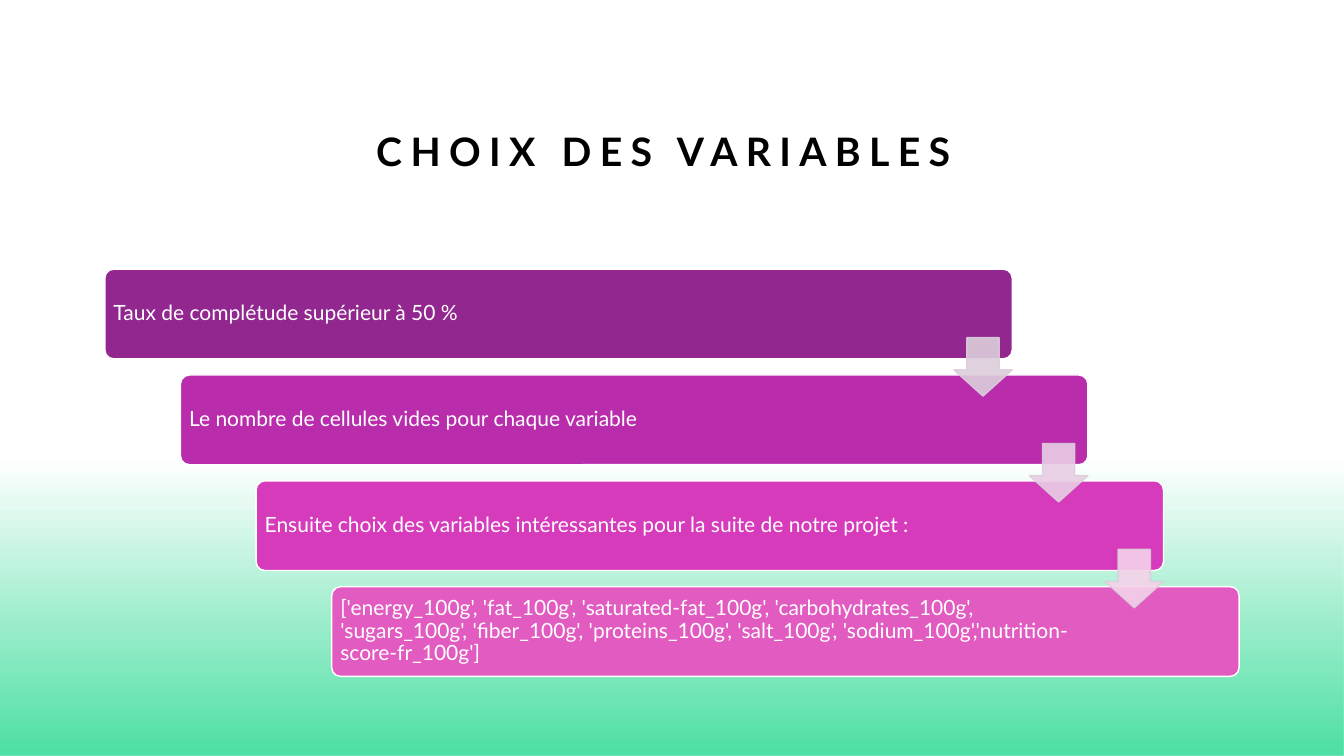
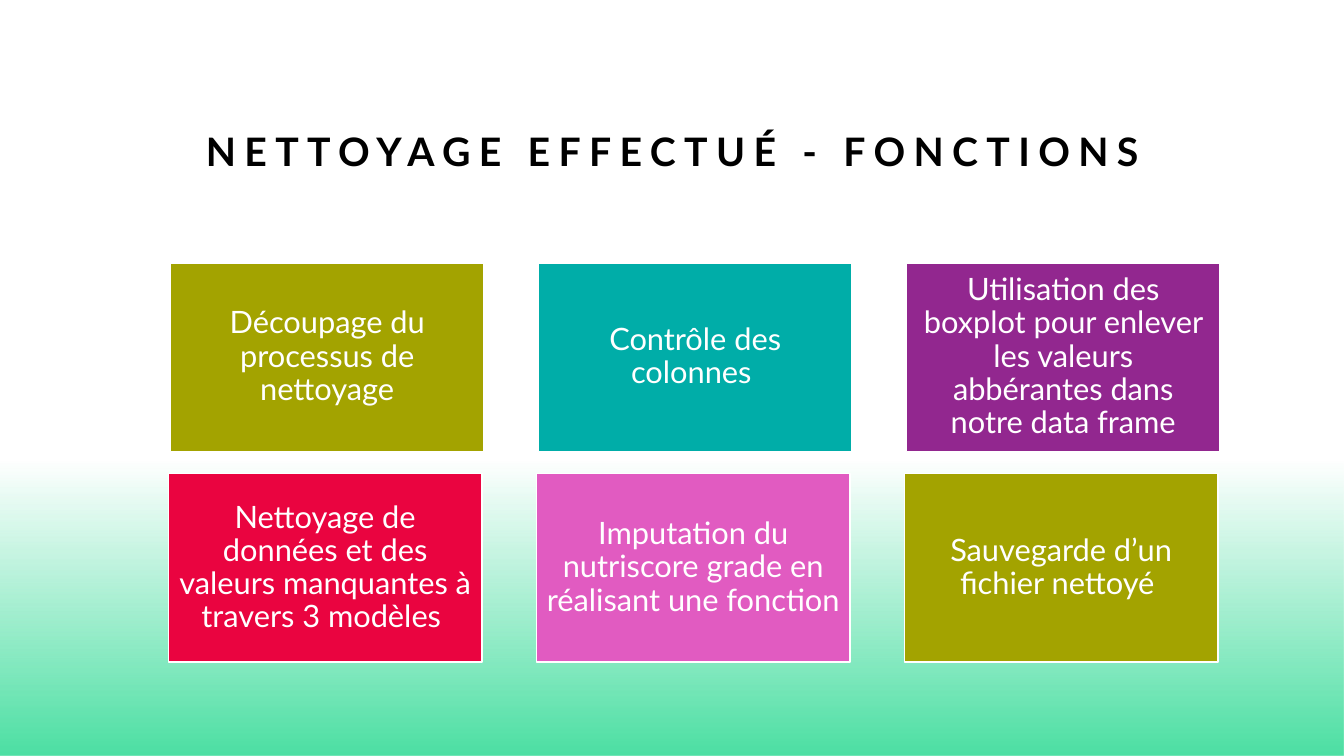
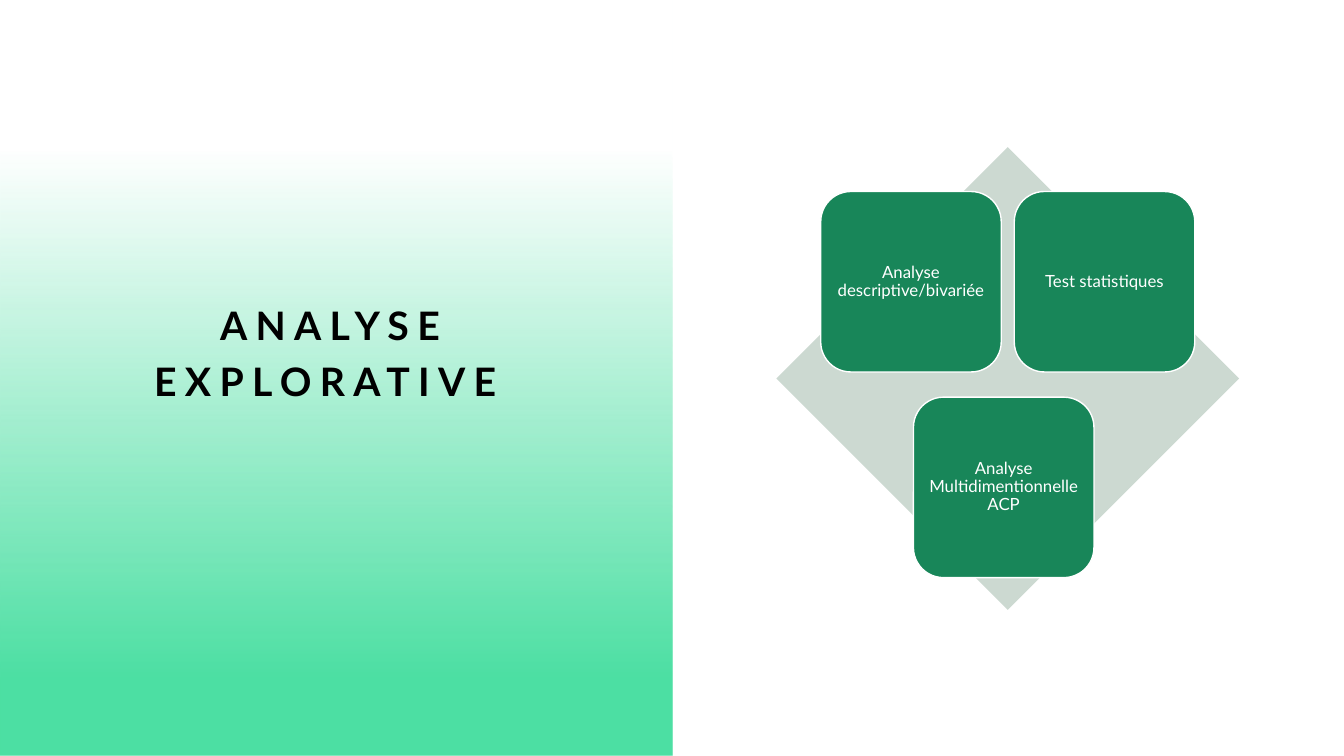
from dataclasses import dataclass

from pptx import Presentation
from pptx.dml.color import RGBColor
from pptx.enum.shapes import MSO_SHAPE as Preset
from pptx.enum.text import MSO_ANCHOR as Anchor, MSO_AUTO_SIZE as AutoSize, PP_ALIGN as Align
from pptx.oxml.ns import qn
from pptx.oxml.xmlchemy import OxmlElement
from pptx.util import Inches, Pt

FONT = "Lato"
WHITE = "FFFFFF"
BLACK = "000000"
MINT = "4CDFA3"
GREEN = "188659"
SAGE = "CCD9D1"
PURPLE = "92278F"
PINK = "E15BC1"
OLIVE = "A3A300"
ARROW_EDGE = "DCCDDB"


@dataclass(frozen=True)
class Area:
    left: float
    top: float
    width: float
    height: float


@dataclass(frozen=True)
class Step:
    text: str
    fill: str
    arrow: str = ""


@dataclass(frozen=True)
class Card:
    text: str
    fill: str


@dataclass(frozen=True)
class Tile:
    text: str
    left: float
    top: float


STEPS = [
    Step("Taux de complétude supérieur à 50 %", PURPLE, ARROW_EDGE),
    Step("Le nombre de cellules vides pour chaque variable", "B92CAB", "E9CEE4"),
    Step("Ensuite choix des variables intéressantes pour la suite de notre projet :",
         "D63BBC", "F4D2E9"),
    Step("['energy_100g', 'fat_100g', 'saturated-fat_100g', 'carbohydrates_100g', "
         "'sugars_100g', 'fiber_100g', 'proteins_100g', 'salt_100g', "
         "'sodium_100g','nutrition-score-fr_100g']", PINK),
]

CARD_ROWS = [
    [
        Card("Découpage du processus de nettoyage", OLIVE),
        Card("Contrôle des colonnes ", "00ADA8"),
        Card("Utilisation des boxplot pour enlever les valeurs abbérantes "
             "dans notre data frame", PURPLE),
    ],
    [
        Card("Nettoyage de données et des valeurs manquantes à travers 3 modèles ", "EA0440"),
        Card("Imputation du nutriscore grade en réalisant une fonction ", PINK),
        Card("Sauvegarde d’un fichier nettoyé ", OLIVE),
    ],
]

TILES = [
    Tile("Analyse descriptive/bivariée", 8.14, 1.9),
    Tile("Test statistiques", 10.06, 1.9),
    Tile("Analyse Multidimentionnelle ACP", 9.06, 3.94),
]


def rgb(color: str) -> RGBColor:
    return RGBColor.from_string(color)


def set_alpha(color_element, percent: int) -> None:
    alpha = OxmlElement("a:alpha")
    alpha.set("val", str(percent * 1000))
    color_element.append(alpha)


def add_box(page, preset, area: Area, fill: str = "", line: str = "",
            adjust: tuple = (), opacity: int = 100):
    box = page.shapes.add_shape(preset, Inches(area.left), Inches(area.top),
                                Inches(area.width), Inches(area.height))
    box.shadow.inherit = False
    for index, value in enumerate(adjust):
        box.adjustments[index] = value
    if fill:
        box.fill.solid()
        box.fill.fore_color.rgb = rgb(fill)
    if line:
        box.line.color.rgb = rgb(line)
        box.line.width = Pt(1)
    else:
        box.line.fill.background()
    if opacity < 100:
        for color_element in box.element.spPr.iter(qn("a:srgbClr")):
            set_alpha(color_element, opacity)
    return box


def write(box, text: str, *, size: float, color: str = WHITE, bold: bool = False,
          align=Align.CENTER, anchor=Anchor.MIDDLE, line_spacing: float = 0.9,
          inset: float = 0.05, right: float | None = None, tracking: float = 0) -> None:
    frame = box.text_frame
    frame.word_wrap = True
    frame.auto_size = AutoSize.NONE
    frame.vertical_anchor = anchor
    frame.margin_left = frame.margin_top = frame.margin_bottom = Inches(inset)
    frame.margin_right = Inches(inset if right is None else right)
    para = frame.paragraphs[0]
    para.alignment = align
    para.line_spacing = line_spacing
    span = para.add_run()
    span.text = text
    span.font.name = FONT
    span.font.size = Pt(size)
    span.font.bold = bold
    span.font.color.rgb = rgb(color)
    if tracking:
        span.font._element.set("spc", str(round(tracking * 100)))


def add_band(page, area: Area, start: int, end: int) -> None:
    band = add_box(page, Preset.RECTANGLE, area)
    band.fill.gradient()
    band.fill.gradient_angle = 270
    for stop, position in zip(band.fill.gradient_stops, (start, end)):
        stop.position = position / 100
        stop.color.rgb = rgb(MINT)
    set_alpha(next(band.element.spPr.iter(qn("a:srgbClr"))), 0)
    page.shapes.title.element.addprevious(band.element)


def add_page(deck, title: str, area: Area = Area(1.67, 0.83, 10, 0.95),
             anchor=Anchor.BOTTOM):
    page = deck.slides.add_slide(deck.slide_layouts[5])
    page.background.fill.solid()
    page.background.fill.fore_color.rgb = rgb(WHITE)
    box = page.shapes.title
    box.left, box.top = Inches(area.left), Inches(area.top)
    box.width, box.height = Inches(area.width), Inches(area.height)
    write(box, title, size=28, color=BLACK, bold=True, anchor=anchor,
          line_spacing=1.2, tracking=6)
    box.text_frame.margin_left = box.text_frame.margin_right = Inches(0.1)
    return page


def add_bottom_band(page) -> None:
    add_band(page, Area(0, 4.09, 13.33, 3.41), 14, 100)


def build_variables(deck) -> None:
    page = add_page(deck, "CHOIX DES VARIABLES ")
    add_bottom_band(page)
    places = [(1.04 + 0.75 * index, 2.67 + 1.05 * index) for index in range(len(STEPS))]
    for step, (left, top) in zip(STEPS, places):
        box = add_box(page, Preset.ROUNDED_RECTANGLE, Area(left, top, 9, 0.89),
                      step.fill, WHITE, (0.1,))
        write(box, step.text, size=15, align=Align.LEFT, inset=0.06, right=1.4)
    for step, (left, top) in zip(STEPS, places):
        if step.arrow:
            add_box(page, Preset.DOWN_ARROW, Area(left + 8.42, top + 0.68, 0.58, 0.58),
                    step.arrow, ARROW_EDGE, (0.55, 0.45), opacity=90)


def build_cleaning(deck) -> None:
    page = add_page(deck, "NETTOYAGE EFFECTUÉ - FONCTIONS")
    add_bottom_band(page)
    for cards, left, top in zip(CARD_ROWS, (1.69, 1.67), (2.61, 4.7)):
        for column, card in enumerate(cards):
            box = add_box(page, Preset.RECTANGLE,
                          Area(left + 3.65 * column, top, 3.11, 1.87), card.fill, WHITE)
            write(box, card.text, size=22, inset=0.09)


def build_exploration(deck) -> None:
    page = add_page(deck, "ANALYSE EXPLORATIVE ", Area(1.32, 2.08, 3.99, 3.31),
                    Anchor.MIDDLE)
    page.shapes.title.text_frame.margin_bottom = Inches(0.61)
    add_band(page, Area(0, 0, 6.67, 7.5), 20, 90)
    add_box(page, Preset.DIAMOND, Area(7.7, 1.46, 4.59, 4.59), SAGE)
    for tile in TILES:
        box = add_box(page, Preset.ROUNDED_RECTANGLE,
                      Area(tile.left, tile.top, 1.79, 1.79), GREEN, WHITE)
        write(box, tile.text, size=12)


def main() -> None:
    deck = Presentation()
    deck.slide_width = Inches(13.33)
    deck.slide_height = Inches(7.5)
    build_variables(deck)
    build_cleaning(deck)
    build_exploration(deck)
    deck.save("out.pptx")


if __name__ == "__main__":
    main()
